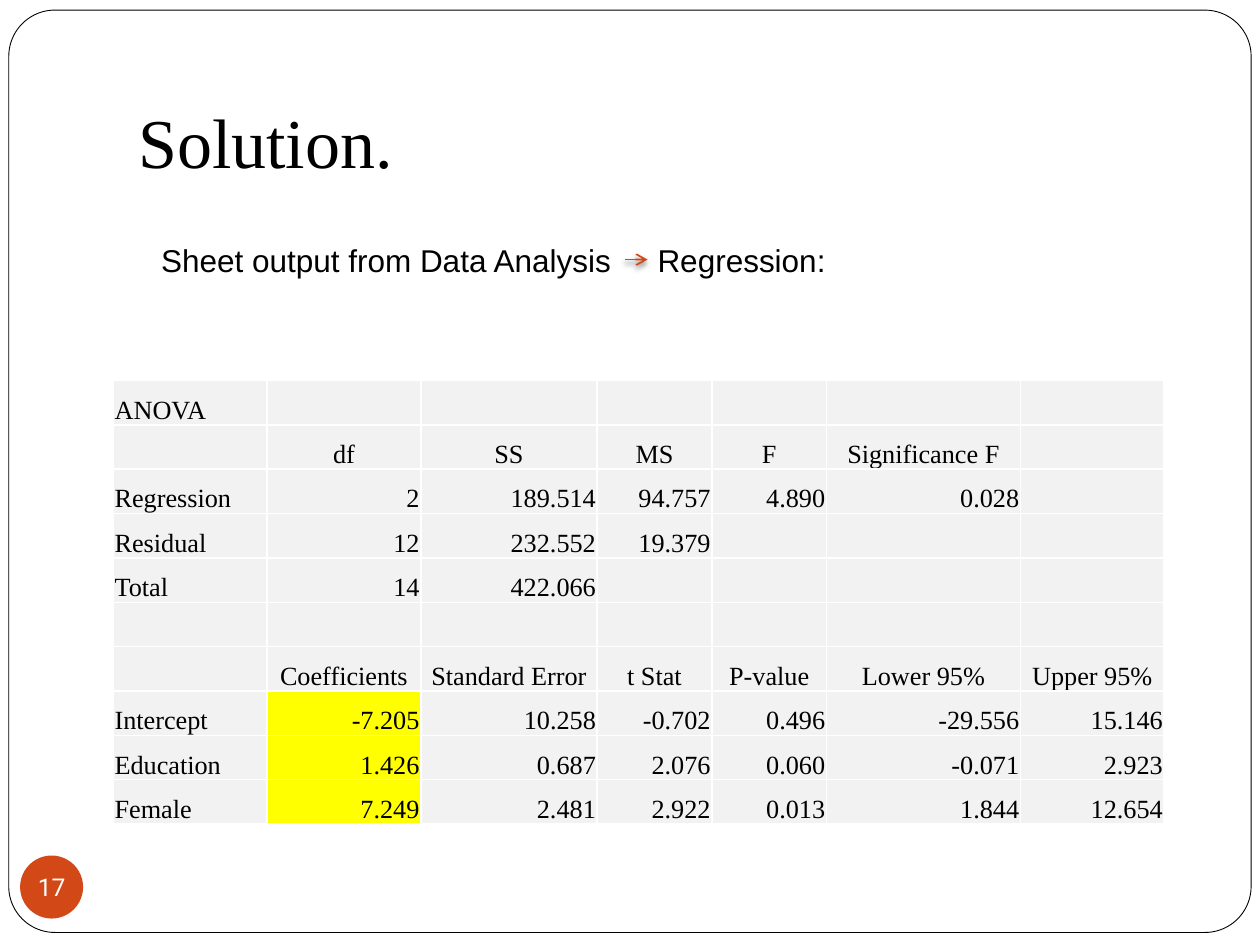
from dataclasses import dataclass

from lxml import etree
from pptx import Presentation
from pptx.dml.color import RGBColor
from pptx.enum.shapes import MSO_CONNECTOR, MSO_SHAPE
from pptx.enum.text import MSO_ANCHOR, PP_ALIGN
from pptx.oxml.ns import qn
from pptx.util import Inches, Pt

LEFT, CENTER, RIGHT = PP_ALIGN.LEFT, PP_ALIGN.CENTER, PP_ALIGN.RIGHT
TOP, MIDDLE, BOTTOM = MSO_ANCHOR.TOP, MSO_ANCHOR.MIDDLE, MSO_ANCHOR.BOTTOM
ROUNDED, OVAL = MSO_SHAPE.ROUNDED_RECTANGLE, MSO_SHAPE.OVAL
STRAIGHT = MSO_CONNECTOR.STRAIGHT
WIDTH, HEIGHT = Inches(10), Inches(7.5)


@dataclass(frozen=True)
class Theme:
    ink: str = "000000"
    paper: str = "FFFFFF"
    accent: str = "D34817"
    cell: str = "F2F2F2"
    highlight: str = "FFFF00"
    serif: str = "Times New Roman"
    sans: str = "Arial"
    number: str = "Roboto"
    title_size: float = 40
    body_size: float = 18
    table_size: float = 15
    number_size: float = 14


THEME = Theme()

COLUMN_SHARES = [12.2, 12.2, 14, 9.1, 9.1, 15.4, 11.4]
HEADER_ROWS = {1, 6}
HIGHLIGHTED = {(row, 1) for row in (7, 8, 9)}
REGRESSION_ROWS = [
    ["ANOVA"],
    ["", "df", "SS", "MS", "F", "Significance F"],
    ["Regression", "2", "189.514", "94.757", "4.890", "0.028"],
    ["Residual", "12", "232.552", "19.379"],
    ["Total", "14", "422.066"],
    [],
    ["", "Coefficients", "Standard Error", "t Stat", "P-value", "Lower 95%", "Upper 95%"],
    ["Intercept", "-7.205", "10.258", "-0.702", "0.496", "-29.556", "15.146"],
    ["Education", "1.426", "0.687", "2.076", "0.060", "-0.071", "2.923"],
    ["Female", "7.249", "2.481", "2.922", "0.013", "1.844", "12.654"],
]


# Lengths as percentages of the slide
def across(share):
    return round(WIDTH * share / 100)


def down(share):
    return round(HEIGHT * share / 100)


def place(left, top, width, height):
    return across(left), down(top), across(width), down(height)


# Formatting
def color(value):
    return RGBColor.from_string(value)


def apply(target, values):
    for name, value in values.items():
        setattr(target, name, value)


def margins(left, top, right, bottom):
    return {"margin_left": Inches(left), "margin_top": Inches(top),
            "margin_right": Inches(right), "margin_bottom": Inches(bottom)}


def add_xml(parent, tag, **attributes):
    return etree.SubElement(parent, qn(tag), attributes)


def add_solid(parent, value):
    return add_xml(add_xml(parent, "a:solidFill"), "a:srgbClr", val=value)


def write(paragraph, text, font, size, ink=THEME.ink, alignment=LEFT):
    paragraph.alignment = alignment
    run = paragraph.add_run()
    run.text = text
    apply(run.font, {"name": font, "size": Pt(size)})
    run.font.color.rgb = color(ink)


# Elements
def add_text(slide, box, text, font, size, anchor=TOP, bottom=0.05):
    frame = slide.shapes.add_textbox(*place(*box)).text_frame
    apply(frame, {"word_wrap": True, "vertical_anchor": anchor,
                  **margins(0.1, 0.05, 0.1, bottom)})
    write(frame.paragraphs[0], text, font, size)
    return frame.paragraphs[0]


def add_tab_stop(paragraph, position):
    properties = paragraph._p.get_or_add_pPr()
    add_xml(add_xml(properties, "a:tabLst"), "a:tab", pos=str(position), algn="l")


def add_plain_shape(slide, kind, box, fill, line=None):
    shape = slide.shapes.add_shape(kind, *place(*box))
    shape.shadow.inherit = False
    shape.fill.solid()
    shape.fill.fore_color.rgb = color(fill)
    if line:
        shape.line.color.rgb = color(line)
        shape.line.width = Pt(0.5)
    else:
        shape.line.fill.background()
    return shape


def add_frame(slide):
    frame = add_plain_shape(slide, ROUNDED, (0.7, 1.07, 98.6, 97.6), THEME.paper, THEME.ink)
    frame.adjustments[0] = 0.05


def add_page_number(slide, text):
    badge = add_plain_shape(slide, OVAL, (1.6, 90.53, 5, 6.67), THEME.accent)
    apply(badge.text_frame, {"word_wrap": False, "vertical_anchor": MIDDLE,
                             **margins(0, 0, 0, 0)})
    write(badge.text_frame.paragraphs[0], text, THEME.number, THEME.number_size,
          THEME.paper, CENTER)


def add_arrow(slide, left, right, level):
    arrow = slide.shapes.add_connector(STRAIGHT, across(left), down(level),
                                       across(right), down(level))
    arrow.line.color.rgb = color(THEME.accent)
    arrow.line.width = Pt(1)
    add_xml(arrow.line._get_or_add_ln(), "a:tailEnd", type="arrow")
    effects = add_xml(arrow._element.spPr, "a:effectLst")
    shadow = add_xml(effects, "a:outerShdw", blurRad=str(Pt(3)), dist=str(Pt(2)),
                     dir="5400000", rotWithShape="0")
    shade = add_xml(shadow, "a:srgbClr", val=THEME.ink)
    add_xml(shade, "a:alpha", val="50000")


def style_cell(cell, fill):
    properties = cell._tc.get_or_add_tcPr()
    for side in ("a:lnL", "a:lnR", "a:lnT", "a:lnB"):
        add_solid(add_xml(properties, side, w=str(Pt(1))), THEME.paper)
    cell.fill.solid()
    cell.fill.fore_color.rgb = color(fill)
    apply(cell, {"vertical_anchor": BOTTOM, **margins(0.01, 0.01, 0.01, 0)})


def cell_alignment(row, column):
    if column == 0:
        return LEFT
    return CENTER if row in HEADER_ROWS else RIGHT


def add_regression_table(slide):
    box = place(9, 40.27, sum(COLUMN_SHARES), 46.93)
    table = slide.shapes.add_table(len(REGRESSION_ROWS), len(COLUMN_SHARES), *box).table
    apply(table, {"first_row": False, "horz_banding": False})
    for column, share in zip(table.columns, COLUMN_SHARES):
        column.width = across(share)
    for row, texts in enumerate(REGRESSION_ROWS):
        for column in range(len(COLUMN_SHARES)):
            cell = table.cell(row, column)
            style_cell(cell, THEME.highlight if (row, column) in HIGHLIGHTED else THEME.cell)
            if column < len(texts) and texts[column]:
                write(cell.text_frame.paragraphs[0], texts[column], THEME.serif,
                      THEME.table_size, alignment=cell_alignment(row, column))


def main():
    presentation = Presentation()
    apply(presentation, {"slide_width": WIDTH, "slide_height": HEIGHT})
    slide = presentation.slides.add_slide(presentation.slide_layouts[6])

    # Frame and title
    add_frame(slide)
    add_text(slide, (10, 4, 85, 16.67), "Solution.", THEME.serif, THEME.title_size,
             BOTTOM, 0.1)

    # Caption with an arrow in its gap
    caption = add_text(slide, (11.8, 24.8, 79.1, 5.33),
                       "Sheet output from Data Analysis\tRegression:",
                       THEME.sans, THEME.body_size)
    add_tab_stop(caption, across(39.4))
    add_arrow(slide, 49.6, 51.4, 27.47)

    # Results and page number
    add_regression_table(slide)
    add_page_number(slide, "17")
    presentation.save("out.pptx")


main()
